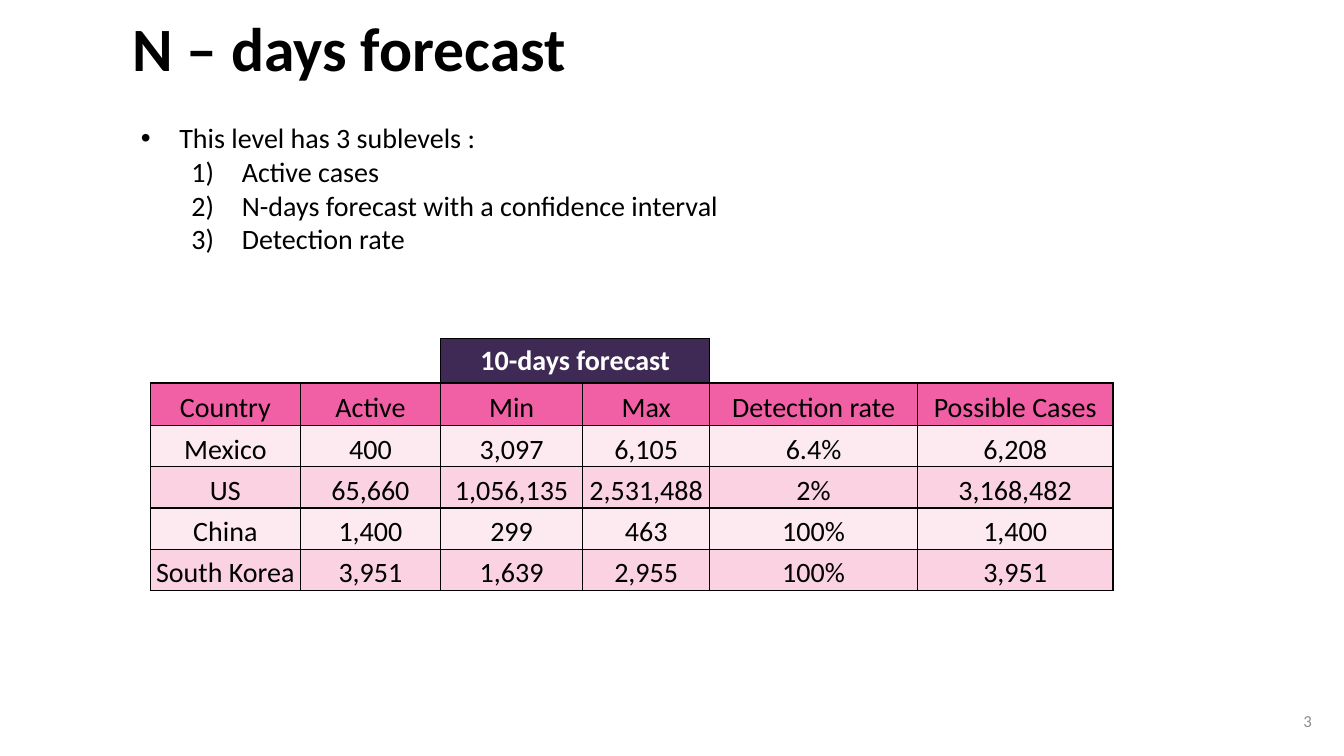
from lxml import etree
from pptx import Presentation
from pptx import util as u
from pptx.dml import color
from pptx.enum import shapes, text
from pptx.oxml import ns

PX = 9144
INK = {
    "black": "000000", "white": "FFFFFF", "gray": "8C8C8C", "plum": "3F2A55",
    "pink": "F15FA5", "pale": "FCEAF0", "rose": "FAD2E1",
}
COLS = [149, 139, 141, 126, 206, 194]
ROWS = [44, 42, 41, 41, 41, 41]
DATA = [
    ["Country", "Active", "Min", "Max", "Detection rate", "Possible Cases"],
    ["Mexico", "400", "3,097", "6,105", "6.4%", "6,208"],
    ["US", "65,660", "1,056,135", "2,531,488", "2%", "3,168,482"],
    ["China", "1,400", "299", "463", "100%", "1,400"],
    ["South Korea", "3,951", "1,639", "2,955", "100%", "3,951"],
]
ITEMS = ["Active cases", "N-days forecast with a confidence interval", "Detection rate"]


def px(n):
    return u.Emu(n * PX)


def rgb(name):
    return color.RGBColor.from_string(INK[name])


def write(par, words, size=20, bold=False, ink="black", align="LEFT", lead=1.0):
    par.alignment = getattr(text.PP_ALIGN, align)
    par.line_spacing = lead
    par.space_before = par.space_after = u.Pt(0)
    run = par.add_run()
    run.text = words
    run.font.name = "Calibri"
    run.font.size = u.Pt(size)
    run.font.bold = bold
    run.font.color.rgb = rgb(ink)


def place(shape, box, anchor="MIDDLE", fit="NONE"):
    shape.left, shape.top, shape.width, shape.height = map(px, box)
    frame = shape.text_frame
    frame.word_wrap = True
    frame.auto_size = getattr(text.MSO_AUTO_SIZE, fit)
    frame.vertical_anchor = getattr(text.MSO_ANCHOR, anchor)
    return frame


def mark(par, left, hang, tag, **attrs):
    props = par._p.get_or_add_pPr()
    props.set("marL", str(px(left)))
    props.set("indent", str(px(-hang)))
    etree.SubElement(props, ns.qn("a:buFont"), typeface="Arial")
    etree.SubElement(props, ns.qn(tag), **attrs)


def head(slide, box):
    frame = place(slide.shapes.title, box)
    write(frame.paragraphs[0], "N – days forecast", size=44, bold=True, lead=0.9)


def outline(slide, box):
    panel = slide.shapes.add_shape(shapes.MSO_SHAPE.RECTANGLE, *map(px, box))
    panel.shadow.inherit = False
    panel.fill.solid()
    panel.fill.fore_color.rgb = rgb("white")
    panel.line.fill.background()
    frame = place(panel, box, anchor="TOP", fit="SHAPE_TO_FIT_TEXT")
    top = frame.paragraphs[0]
    write(top, "This level has 3 sublevels :", align="JUSTIFY")
    mark(top, 38, 38, "a:buChar", char="•")
    for item in ITEMS:
        par = frame.add_paragraph()
        par.level = 1
        write(par, item, align="JUSTIFY")
        mark(par, 100, 50, "a:buAutoNum", type="arabicParenR")


def border(cell, sides):
    props = cell._tc.get_or_add_tcPr()
    for spot, side in enumerate("LRTB"):
        line = etree.Element(ns.qn("a:ln" + side), w=str(u.Pt(1)))
        if side in sides:
            fill = etree.SubElement(line, ns.qn("a:solidFill"))
            etree.SubElement(fill, ns.qn("a:srgbClr"), val=INK["black"])
        else:
            etree.SubElement(line, ns.qn("a:noFill"))
        props.insert(spot, line)


def paint(cell, fill):
    cell.fill.solid()
    cell.fill.fore_color.rgb = rgb(fill)
    border(cell, "LRTB")


def banner(grid):
    for col, sides in {0: "B", 1: "RB", 4: "LB", 5: "B"}.items():
        cell = grid.cell(0, col)
        cell.fill.background()
        border(cell, sides)
    lead = grid.cell(0, 2)
    lead.merge(grid.cell(0, 3))
    for col in (2, 3):
        paint(grid.cell(0, col), "plum")
    lead.vertical_anchor = text.MSO_ANCHOR.MIDDLE
    write(lead.text_frame.paragraphs[0], "10-days forecast", bold=True, ink="white", align="CENTER")


def table(slide, left, top):
    box = map(px, (left, top, sum(COLS), sum(ROWS)))
    grid = slide.shapes.add_table(len(ROWS), len(COLS), *box).table
    grid.first_row = grid.horz_banding = False
    for col, wide in zip(grid.columns, COLS):
        col.width = px(wide)
    for row, high in zip(grid.rows, ROWS):
        row.height = px(high)
    banner(grid)
    for r, row in enumerate(DATA, 1):
        fill = "pink" if r == 1 else ("pale", "rose")[r % 2]
        for c, words in enumerate(row):
            cell = grid.cell(r, c)
            paint(cell, fill)
            cell.margin_left = cell.margin_right = cell.margin_top = px(1)
            cell.margin_bottom = 0
            cell.vertical_anchor = text.MSO_ANCHOR.BOTTOM
            write(cell.text_frame.paragraphs[0], words, align="CENTER")


def number(slide, box):
    frame = place(slide.shapes.add_textbox(*map(px, box)), box)
    write(frame.paragraphs[0], "3", size=12, ink="gray", align="RIGHT")


def main():
    deck = Presentation()
    deck.slide_width, deck.slide_height = px(1333), px(750)
    slide = deck.slides.add_slide(deck.slide_layouts[5])
    head(slide, (121, 10, 983, 83))
    outline(slide, (130, 115, 974, 145))
    table(slide, 149, 336)
    number(slide, (1011, 695, 300, 40))
    deck.save("out.pptx")


if __name__ == "__main__":
    main()
